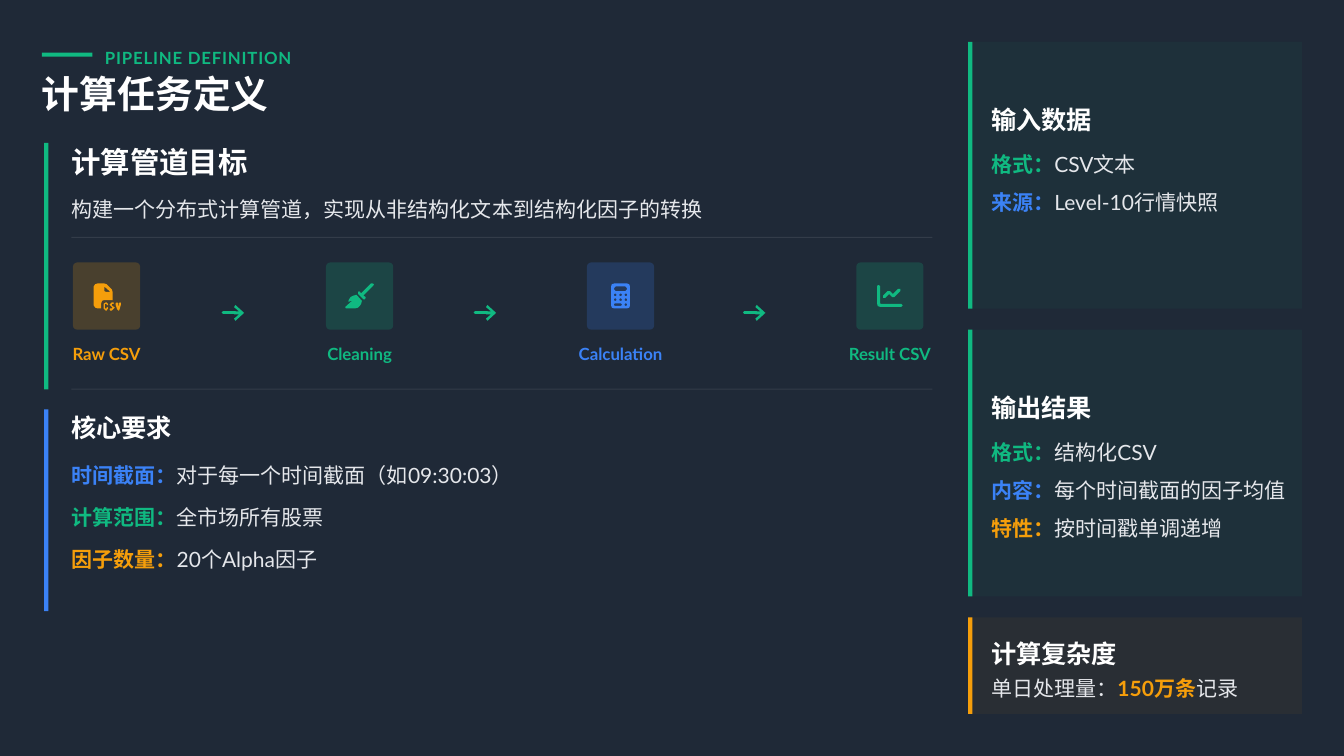
import math

from lxml import etree
from pptx import Presentation
from pptx import util as u
from pptx.dml.color import RGBColor
from pptx.enum import shapes, text
from pptx.oxml.ns import qn

GREEN, BLUE, AMBER = "10B981", "3B82F6", "F59E0B"
WHITE, GREY, NIGHT = "FFFFFF", "E5E7EB", "1F2937"
CJK = "Noto Sans CJK SC"

# Slide on a grid of 1280 columns by 720 rows
presentation = Presentation()
presentation.slide_width = u.Inches(17.78)
presentation.slide_height = u.Inches(10)
column = presentation.slide_width / 1280
row = presentation.slide_height / 720
slide = presentation.slides.add_slide(presentation.slide_layouts[6])
slide.background.fill.solid()
slide.background.fill.fore_color.rgb = RGBColor.from_string(NIGHT)


def add_block(left, top, width, height, color, opacity=100, kind="RECTANGLE"):
    shape = slide.shapes.add_shape(
        shapes.MSO_SHAPE[kind], round(left * column), round(top * row),
        round(width * column), round(height * row))
    shape.shadow.inherit = False
    shape.line.fill.background()
    shape.fill.solid()
    shape.fill.fore_color.rgb = RGBColor.from_string(color)
    if opacity < 100:
        rgb = shape.fill._xPr.find(qn("a:solidFill"))[0]
        etree.SubElement(rgb, qn("a:alpha")).set("val", str(opacity * 1000))
    return shape


def add_text(left, top, width, height, runs, size, spacing=1.3, bold=False,
             align="LEFT", font="Lato", tracking=0):
    """Each run is (words, color) or (words, color, bold)."""
    box = slide.shapes.add_textbox(
        round(left * column), round(top * row),
        round(width * column), round(height * row))
    frame_format = {"word_wrap": True, "vertical_anchor": text.MSO_ANCHOR.MIDDLE,
                    "margin_left": 0, "margin_right": 0,
                    "margin_top": 0, "margin_bottom": 0}
    for name, value in frame_format.items():
        setattr(box.text_frame, name, value)
    paragraph = box.text_frame.paragraphs[0]
    paragraph.line_spacing = spacing
    paragraph.alignment = text.PP_ALIGN[align]
    for words, color, *weight in runs:
        run = paragraph.add_run()
        run.text = words
        run_format = {"size": u.Pt(size), "bold": weight[0] if weight else bold,
                      "name": font}
        for name, value in run_format.items():
            setattr(run.font, name, value)
        run.font.color.rgb = RGBColor.from_string(color)
        properties = run._r.get_or_add_rPr()
        etree.SubElement(properties, qn("a:ea")).set("typeface", CJK)
        if tracking:
            properties.set("spc", str(tracking))


# Header
add_block(40, 50, 48, 4, GREEN)
add_text(100, 40, 182, 24, [("PIPELINE DEFINITION", GREEN)], 16, bold=True, tracking=80)
add_text(40, 72, 866, 40, [("计算任务定义", WHITE)], 36, 0.9, True, font=CJK)

# Pipeline goal
add_block(42, 136, 4, 235, GREEN)
add_text(68, 136, 832, 32, [("计算管道目标", WHITE)], 28, 1.1, True)
add_text(68, 180, 829, 29,
         [("构建一个分布式计算管道，实现从非结构化文本到结构化因子的转换", GREY)], 20, 1.4)
for top in (225.5, 370):
    add_block(68, top, 820, 1, GREY, 10)

# Icon outlines, in hundredths of an inch from the icon's top left corner
file_icon = [
    [(7, 0), (4, 1), (2, 4), (2, 29), (4, 32), (7, 33), (12, 33), (12, 26), (13, 23),
     (16, 22), (27, 22), (27, 11), (26, 8), (19, 1), (16, 0)],
    [(24, 11), (18, 11), (16, 10), (16, 4)],
    [(18, 25), (15, 27), (15, 33), (18, 36), (19, 36), (21, 33), (21, 32), (20, 31),
     (19, 32), (19, 33), (17, 33), (17, 27), (19, 27), (19, 28), (20, 29), (21, 28),
     (21, 27), (19, 25)],
    [(26, 25), (23, 28), (26, 31), (27, 32), (26, 33), (24, 33), (23, 34), (24, 36),
     (26, 36), (30, 32), (26, 29), (26, 27), (28, 27), (29, 26), (28, 25)],
    [(33, 25), (31, 26), (31, 28), (33, 34), (35, 36), (36, 35), (38, 28), (38, 26),
     (37, 25), (35, 26), (35, 32), (34, 28), (34, 26)],
]
brush_icon = [
    [(37, 3), (38, 1), (36, 0), (34, 0), (21, 13), (19, 11), (18, 10), (17, 12),
     (17, 14), (24, 21), (26, 21), (27, 19), (27, 18), (24, 16)],
    [(22, 23), (15, 15), (11, 16), (7, 18), (5, 21), (4, 24), (5, 24), (8, 23), (9, 23),
     (0, 31), (0, 32), (1, 33), (13, 33), (17, 32), (19, 30), (21, 27)],
]
calculator_icon = [
    [(4, 0), (21, 0), (24, 1), (25, 4), (25, 29), (24, 32), (21, 33), (4, 33), (1, 32),
     (0, 29), (0, 4), (1, 1)],
    [(6, 4), (19, 4), (21, 6), (21, 8), (19, 10), (6, 10), (4, 8), (4, 6)],
]
keys = [(x, y, 0) for y in (15, 21.5) for x in (5.5, 12.5, 19.5)]
keys += [(9, 28, 3.5), (19.5, 28, 0)]
angles = [math.radians(22.5 + 45 * step) for step in range(8)]
for x, y, stretch in keys:
    calculator_icon.append([
        (x + math.copysign(stretch, math.cos(angle)) + 1.8 * math.cos(angle),
         y + 1.8 * math.sin(angle)) for angle in angles])
chart_icon = [
    [(4, 4), (4, 3), (2, 2), (0, 3), (0, 26), (1, 30), (5, 31), (32, 31), (34, 29),
     (32, 27), (5, 27), (4, 26)],
    [(31, 10), (31, 7), (28, 7), (21, 14), (17, 10), (14, 10), (8, 16), (8, 19),
     (11, 19), (16, 14), (20, 18), (23, 18)],
]

# Pipeline stages: tile, icon and label around one centre
unit = u.Inches(0.01)
stages = [(101.5, "Raw CSV", AMBER, file_icon, 38),
          (342.5, "Cleaning", GREEN, brush_icon, 38),
          (591, "Calculation", BLUE, calculator_icon, 25),
          (847.5, "Result CSV", GREEN, chart_icon, 34)]
for center, label, color, outlines, icon_width in stages:
    tile = add_block(center - 32, 250, 64, 64, color, 20, "ROUNDED_RECTANGLE")
    tile.adjustments[0] = 4 / 64
    left, top = center * column - icon_width * unit / 2, 270 * row
    contours = [[(left + x * unit, top + y * unit) for x, y in outline]
                for outline in outlines]
    builder = slide.shapes.build_freeform(*contours[0][0])
    builder.add_line_segments(contours[0][1:])
    for contour in contours[1:]:
        builder.move_to(*contour[0])
        builder.add_line_segments(contour[1:])
    icon = builder.convert_to_shape()
    icon.shadow.inherit = False
    icon.line.fill.background()
    icon.fill.solid()
    icon.fill.fore_color.rgb = RGBColor.from_string(color)
    add_text(center - 45, 322, 90, 24, [(label, color)], 16, bold=True, align="CENTER")

# Arrows between the stages
for left in (212.5, 452.5, 709):
    arrow = slide.shapes.add_connector(
        shapes.MSO_CONNECTOR.STRAIGHT, round(left * column), round(298 * row),
        round((left + 20) * column), round(298 * row))
    arrow.line.width = u.Pt(2.75)
    arrow.line.color.rgb = RGBColor.from_string(GREEN)
    line = arrow.line._get_or_add_ln()
    line.set("cap", "rnd")
    etree.SubElement(line, qn("a:round"))
    etree.SubElement(line, qn("a:tailEnd"), type="arrow", w="lg", len="med")
    etree.SubElement(arrow._element.spPr, qn("a:effectLst"))

# Core requirements
add_block(42, 390, 4, 192, BLUE)
add_text(68, 390, 832, 32, [("核心要求", WHITE)], 24, 1.1, True)
requirements = [("时间截面：", BLUE, "对于每一个时间截面（如09:30:03）"),
                ("计算范围：", GREEN, "全市场所有股票"),
                ("因子数量：", AMBER, "20个Alpha因子")]
for index, (term, color, detail) in enumerate(requirements):
    add_text(68, 435 + 40 * index, 829, 28, [(term, color, True), (detail, GREY)], 20)

# Side cards: top, height, color, heading and its row and spacing, lines of runs
cards = [
    (40, 254, GREEN, "输入数据", 57, 1.2, 44,
     [[("格式：", GREEN, True), ("CSV文本", GREY)],
      [("来源：", BLUE, True), ("Level-10行情快照", GREY)]]),
    (314, 254, GREEN, "输出结果", 57, 1.2, 44,
     [[("格式：", GREEN, True), ("结构化CSV", GREY)],
      [("内容：", BLUE, True), ("每个时间截面的因子均值", GREY)],
      [("特性：", AMBER, True), ("按时间戳单调递增", GREY)]]),
    (588, 92, AMBER, "计算复杂度", 16, 1.3, 36,
     [[("单日处理量：", GREY), ("150万条", AMBER, True), ("记录", GREY)]]),
]
for top, height, color, heading, offset, spacing, gap, lines in cards:
    add_block(922, top, 318, height, color, 5)
    add_block(922, top, 4, height, color)
    add_text(944, top + offset, 306, 28, [(heading, WHITE)], 24, spacing, True)
    for index, runs in enumerate(lines):
        add_text(944, top + offset + gap + 36 * index, 304, 24, runs, 20)

presentation.save("out.pptx")
